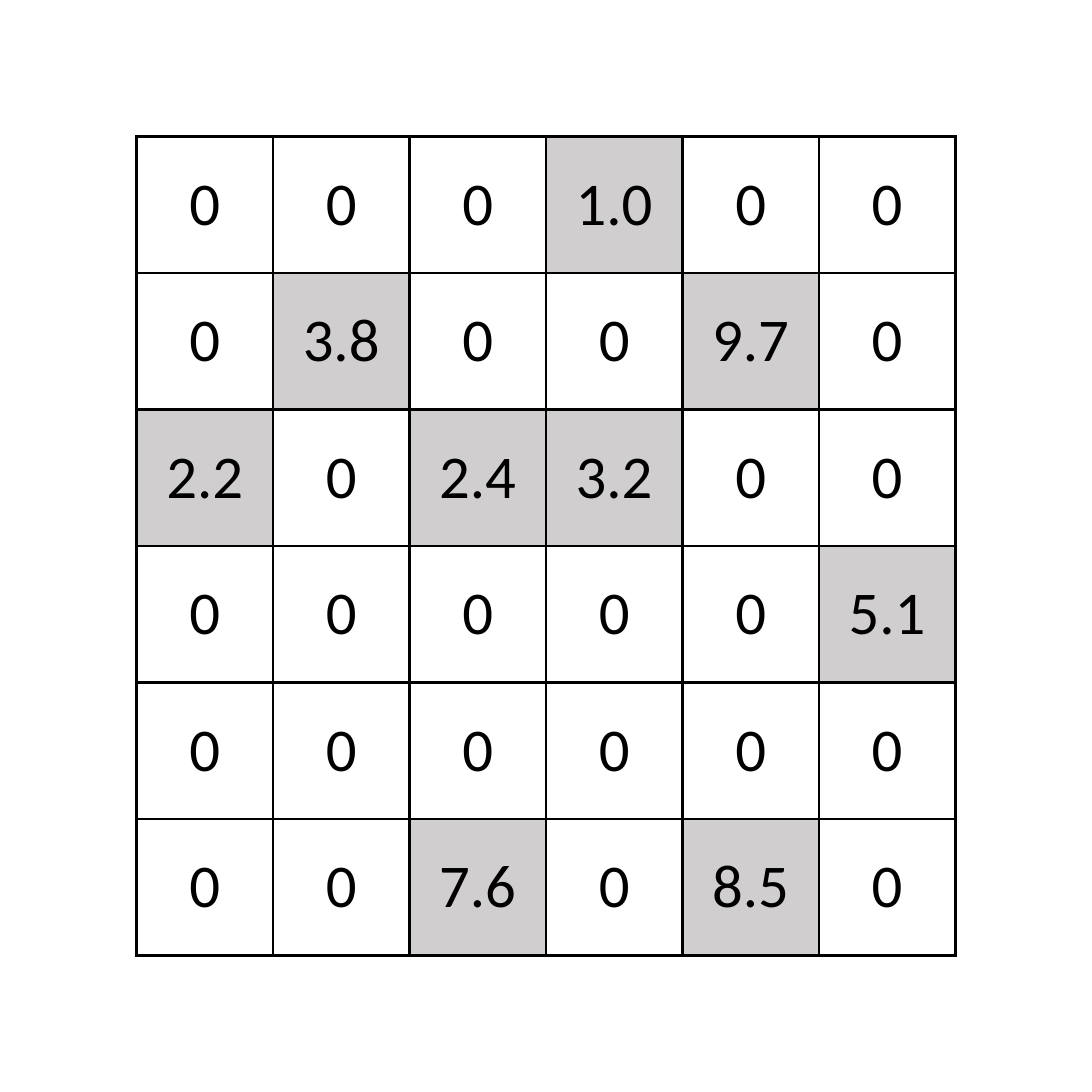
from dataclasses import dataclass

from lxml import etree
from pptx import Presentation
from pptx import util as u
from pptx.dml.color import RGBColor
from pptx.enum import text
from pptx.oxml import ns

MATRIX = [
    ["0", "0", "0", "1.0", "0", "0"],
    ["0", "3.8", "0", "0", "9.7", "0"],
    ["2.2", "0", "2.4", "3.2", "0", "0"],
    ["0", "0", "0", "0", "0", "5.1"],
    ["0", "0", "0", "0", "0", "0"],
    ["0", "0", "7.6", "0", "8.5", "0"],
]

EMU_PER_PX = 4572
SLIDE = 1000
CELL = 125
INSET_X, INSET_Y = 25, 12


@dataclass(frozen=True)
class Theme:
    font: str = "Calibri"
    size: int = 20
    ink: str = "000000"
    nonzero: str = "D0CECE"
    border: int = 1


THEME = Theme()


def px(length):
    return u.Emu(length * EMU_PER_PX)


def add_borders(cell):
    properties = cell._tc.get_or_add_tcPr()
    for index, side in enumerate(("lnL", "lnR", "lnT", "lnB")):
        line = etree.Element(ns.qn(f"a:{side}"), w=str(u.Pt(THEME.border)))
        fill = etree.SubElement(line, ns.qn("a:solidFill"))
        etree.SubElement(fill, ns.qn("a:srgbClr"), val=THEME.ink)
        properties.insert(index, line)


def fill_cell(cell, value):
    cell.margin_left = cell.margin_right = px(INSET_X)
    cell.margin_top = cell.margin_bottom = px(INSET_Y)
    cell.vertical_anchor = text.MSO_ANCHOR.MIDDLE
    if value == "0":
        cell.fill.background()
    else:
        cell.fill.solid()
        cell.fill.fore_color.rgb = RGBColor.from_string(THEME.nonzero)
    add_borders(cell)

    cell.text_frame.text = value
    para = cell.text_frame.paragraphs[0]
    para.alignment = text.PP_ALIGN.CENTER
    font = para.runs[0].font
    font.name = THEME.font
    font.size = u.Pt(THEME.size)
    font.bold = False
    font.color.rgb = RGBColor.from_string(THEME.ink)


def add_matrix(page):
    rows, columns = len(MATRIX), len(MATRIX[0])
    width, height = columns * CELL, rows * CELL
    left, top = (SLIDE - width) // 2, (SLIDE - height) // 2
    table = page.shapes.add_table(
        rows, columns, px(left), px(top), px(width), px(height)
    ).table
    table.first_row = table.horz_banding = False
    for row, values in enumerate(MATRIX):
        for column, value in enumerate(values):
            fill_cell(table.cell(row, column), value)


def main():
    deck = Presentation()
    deck.slide_width = deck.slide_height = px(SLIDE)
    page = deck.slides.add_slide(deck.slide_layouts[6])
    add_matrix(page)
    deck.save("out.pptx")


if __name__ == "__main__":
    main()
